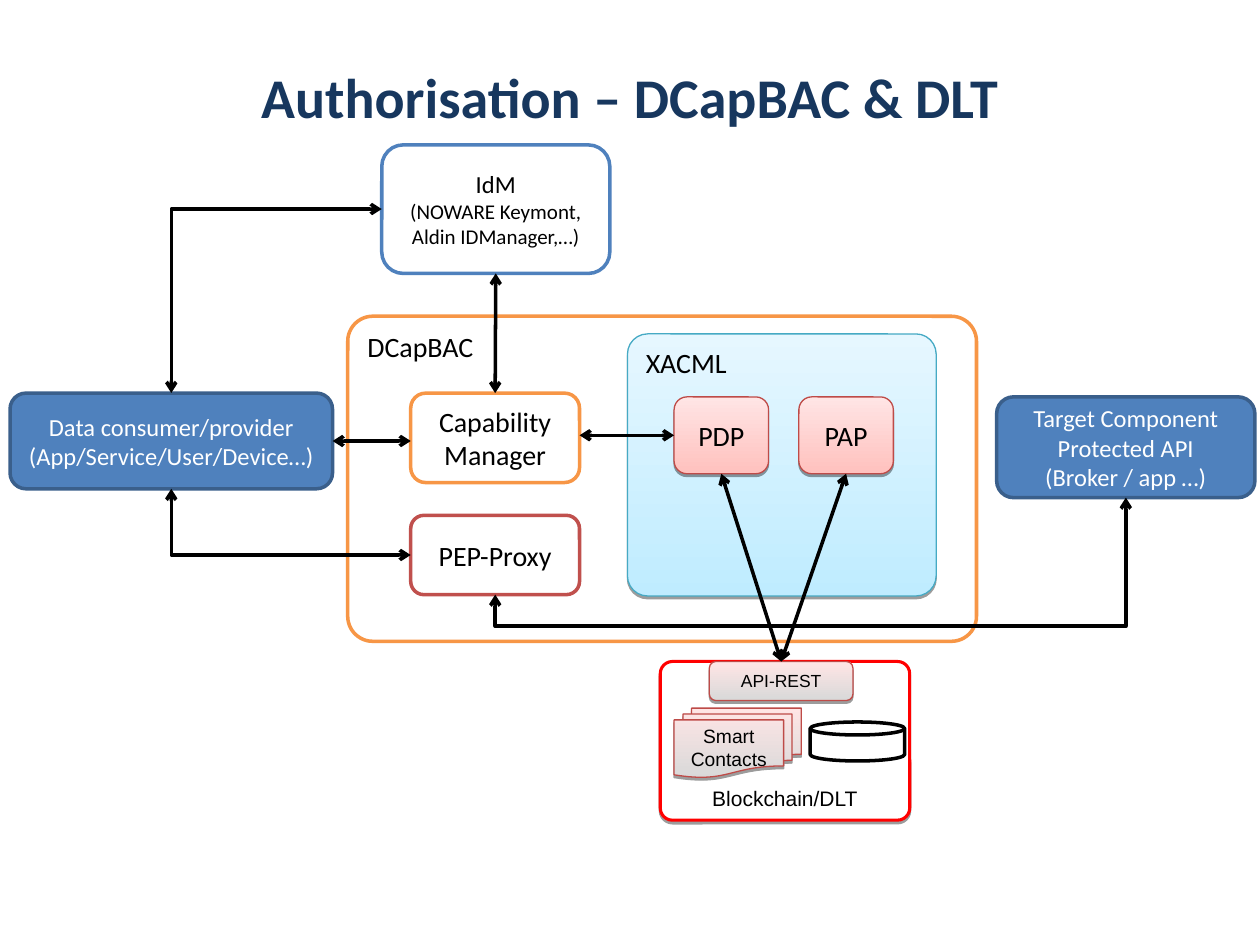
from dataclasses import dataclass
from typing import Optional

from lxml.etree import SubElement
from pptx import Presentation
from pptx.dml.color import RGBColor
from pptx.enum.shapes import MSO_CONNECTOR as Route, MSO_SHAPE as Form
from pptx.enum.text import MSO_ANCHOR as Anchor, PP_ALIGN as Align
from pptx.oxml.ns import qn
from pptx.util import Emu, Inches, Pt

WIDTH, HEIGHT = Inches(10), Inches(7.5)
COLUMN, ROW = WIDTH / 100, HEIGHT / 75
TOP, LEFT, BOTTOM, RIGHT = range(4)


@dataclass(frozen=True)
class Theme:
    body: str = "Calibri"
    ledger: str = "Arial"
    title: str = "17375E"
    ink: str = "000000"
    paper: str = "FFFFFF"
    blue: str = "4F81BD"
    navy: str = "3A5F8B"
    orange: str = "F79646"
    red: str = "C0504D"
    alert: str = "FF0000"
    brick: str = "BE4B48"
    teal: str = "46AAC4"
    sky: tuple[str, str] = ("BFECFF", "E6F7FF")
    rose: tuple[str, str] = ("FFC1BE", "FFE5E5")
    ash: tuple[str, str] = ("D9D9D9", "FFE5E5")
    title_size: float = 32
    large: float = 16
    medium: float = 14
    small: float = 12
    contract: float = 11
    tiny: float = 10
    thick: float = 2
    frame: float = 1.75
    thin: float = 0.75


THEME = Theme()


@dataclass(frozen=True)
class Block:
    col: float
    row: float
    cols: float
    rows: float
    lines: tuple[str, ...]
    fill: str | tuple[str, str] = THEME.paper
    border: str = THEME.ink
    weight: float = THEME.thick
    size: float = THEME.large
    detail_size: Optional[float] = None
    font: str = THEME.body
    ink: str = THEME.ink
    anchor: Anchor = Anchor.MIDDLE
    align: Align = Align.CENTER
    form: Form = Form.ROUNDED_RECTANGLE
    corner: float = 0.167
    shadow: bool = False


def colour(code: str) -> RGBColor:
    return RGBColor.from_string(code)


def across(cols: float) -> Emu:
    return Emu(round(cols * COLUMN))


def down(rows: float) -> Emu:
    return Emu(round(rows * ROW))


def paint(shape, fill: str | tuple[str, str]) -> None:
    if isinstance(fill, str):
        shape.fill.solid()
        shape.fill.fore_color.rgb = colour(fill)
        return
    shape.fill.gradient()
    shape.fill.gradient_angle = 90
    for stop, code in zip(shape.fill.gradient_stops, fill):
        stop.color.rgb = colour(code)


def cast_shadow(shape) -> None:
    effects = shape.element.spPr.find(qn("a:effectLst"))
    shadow = SubElement(effects, qn("a:outerShdw"), blurRad="0", dist=str(Pt(1.6)),
                        dir="5400000", rotWithShape="0")
    tint = SubElement(shadow, qn("a:srgbClr"), val=THEME.ink)
    SubElement(tint, qn("a:alpha"), val="38000")


def draw_block(slide, block: Block):
    shape = slide.shapes.add_shape(block.form, across(block.col), down(block.row),
                                   across(block.cols), down(block.rows))
    if block.form == Form.ROUNDED_RECTANGLE:
        shape.adjustments[0] = block.corner
    paint(shape, block.fill)
    shape.line.color.rgb = colour(block.border)
    shape.line.width = Pt(block.weight)
    shape.shadow.inherit = False
    if block.shadow:
        cast_shadow(shape)
    frame = shape.text_frame
    frame.word_wrap = True
    frame.vertical_anchor = block.anchor
    frame.text = "\n".join(block.lines)
    for index, paragraph in enumerate(frame.paragraphs):
        paragraph.alignment = block.align
        paragraph.font.name = block.font
        paragraph.font.size = Pt(block.detail_size if index and block.detail_size else block.size)
        paragraph.font.color.rgb = colour(block.ink)
    return shape


def side_point(shape, side: int) -> tuple[int, int]:
    x = shape.left + {LEFT: 0, RIGHT: shape.width}.get(side, shape.width // 2)
    y = shape.top + {TOP: 0, BOTTOM: shape.height}.get(side, shape.height // 2)
    return x, y


def draw_arrow(slide, route: Route, start: tuple[int, int], end: tuple[int, int]):
    arrow = slide.shapes.add_connector(route, *start, *end)
    arrow.line.color.rgb = colour(THEME.ink)
    arrow.line.width = Pt(THEME.thick)
    properties = arrow.element.spPr
    for tip in ("a:headEnd", "a:tailEnd"):
        SubElement(properties.find(qn("a:ln")), qn(tip), type="arrow")
    SubElement(properties, qn("a:effectLst"))
    return arrow


def join(slide, source, source_side: int, target, target_side: int) -> None:
    arrow = draw_arrow(slide, Route.STRAIGHT, side_point(source, source_side),
                       side_point(target, target_side))
    arrow.begin_connect(source, source_side)
    arrow.end_connect(target, target_side)


def join_level(slide, source, source_side: int, target, target_side: int) -> None:
    x, y = side_point(source, source_side)
    arrow = draw_arrow(slide, Route.STRAIGHT, (x, y), (side_point(target, target_side)[0], y))
    arrow.begin_connect(source, source_side)


def join_elbow(slide, source, source_side: int, target, target_side: int,
               overshoot: Optional[float] = None) -> None:
    start, end = side_point(source, source_side), side_point(target, target_side)
    arrow = draw_arrow(slide, Route.ELBOW, start, end)
    run, rise = abs(end[0] - start[0]), abs(end[1] - start[1])
    arrow.left = Emu((start[0] + end[0] - rise) // 2)
    arrow.top = Emu((start[1] + end[1] - run) // 2)
    arrow.width, arrow.height = Emu(rise), Emu(run)
    upward = end[1] < start[1]
    transform = arrow.element.spPr.find(qn("a:xfrm"))
    transform.set("rot", "5400000" if upward else "16200000")
    transform.set("flipH", "1")
    transform.set("flipV", "1" if upward else "0")
    geometry = arrow.element.spPr.find(qn("a:prstGeom"))
    if overshoot is None:
        geometry.set("prst", "bentConnector2")
    else:
        share = round(-100000 * down(overshoot) / rise)
        SubElement(geometry.find(qn("a:avLst")), qn("a:gd"), name="adj1", fmla=f"val {share}")


def draw_title(slide, text: str) -> None:
    title = slide.shapes.title
    title.left, title.top = across(5), down(3)
    title.width, title.height = across(90), down(9.3)
    title.text_frame.text = text
    title.text_frame.vertical_anchor = Anchor.MIDDLE
    paragraph = title.text_frame.paragraphs[0]
    paragraph.alignment = Align.CENTER
    paragraph.font.name, paragraph.font.size = THEME.body, Pt(THEME.title_size)
    paragraph.font.bold = True
    paragraph.font.color.rgb = colour(THEME.title)


def main() -> None:
    deck = Presentation()
    deck.slide_width, deck.slide_height = WIDTH, HEIGHT
    slide = deck.slides.add_slide(deck.slide_layouts[5])
    draw_title(slide, "Authorisation – DCapBAC & DLT")

    endpoint = dict(fill=THEME.blue, border=THEME.navy, size=THEME.medium, ink=THEME.paper)
    group = dict(corner=0.077, anchor=Anchor.TOP, align=Align.LEFT)
    raised = dict(border=THEME.brick, weight=THEME.thin, shadow=True)
    ledger = dict(raised, fill=THEME.ash, font=THEME.ledger)

    consumer = draw_block(slide, Block(
        0.8, 31.2, 25.6, 7.6, ("Data consumer/provider", "(App/Service/User/Device…)"), **endpoint))
    identity = draw_block(slide, Block(
        30.3, 11.5, 18.1, 10.2, ("IdM", "(NOWARE Keymont, Aldin IDManager,…)"),
        border=THEME.blue, size=THEME.medium, detail_size=THEME.small))
    target = draw_block(slide, Block(
        79.1, 31.5, 20.5, 8, ("Target Component", "Protected API", "(Broker / app …)"), **endpoint))
    draw_block(slide, Block(27.6, 25.1, 49.9, 25.8, ("DCapBAC",), border=THEME.orange, **group))
    capability = draw_block(slide, Block(
        32.6, 31.2, 13.4, 7.1, ("Capability Manager",), border=THEME.orange))
    draw_block(slide, Block(49.8, 26.5, 24.5, 20.8, ("XACML",), fill=THEME.sky,
                            border=THEME.teal, weight=THEME.thin, shadow=True, **group))
    decision, administration = [
        draw_block(slide, Block(53.5 + 9.9 * index, 31.5, 7.5, 6.1, (label,),
                                fill=THEME.rose, **raised))
        for index, label in enumerate(("PDP", "PAP"))]
    proxy = draw_block(slide, Block(32.6, 40.9, 13.4, 6.3, ("PEP-Proxy",), border=THEME.red))

    join_level(slide, consumer, RIGHT, capability, LEFT)
    join_level(slide, decision, LEFT, capability, RIGHT)
    join(slide, capability, TOP, identity, BOTTOM)
    join_elbow(slide, consumer, TOP, identity, LEFT)
    join_elbow(slide, consumer, BOTTOM, proxy, LEFT)
    join_elbow(slide, proxy, BOTTOM, target, BOTTOM, overshoot=2.5)

    draw_block(slide, Block(
        52.4, 52.5, 19.8, 12.6, ("Blockchain/DLT",), border=THEME.alert, weight=THEME.frame,
        size=THEME.small, font=THEME.ledger, anchor=Anchor.BOTTOM, corner=0.077, shadow=True))
    rest = draw_block(slide, Block(56.3, 52.5, 11.4, 3.1, ("API-REST",), size=THEME.tiny, **ledger))
    draw_block(slide, Block(53.5, 56.2, 10.1, 5.5, ("Smart Contacts",), size=THEME.contract,
                            form=Form.FLOWCHART_MULTIDOCUMENT, **ledger))
    draw_block(slide, Block(64.3, 57.3, 7.5, 3.1, (), form=Form.FLOWCHART_MAGNETIC_DISK))
    for policy_point in (decision, administration):
        join(slide, rest, TOP, policy_point, BOTTOM)

    deck.save("out.pptx")


if __name__ == "__main__":
    main()
